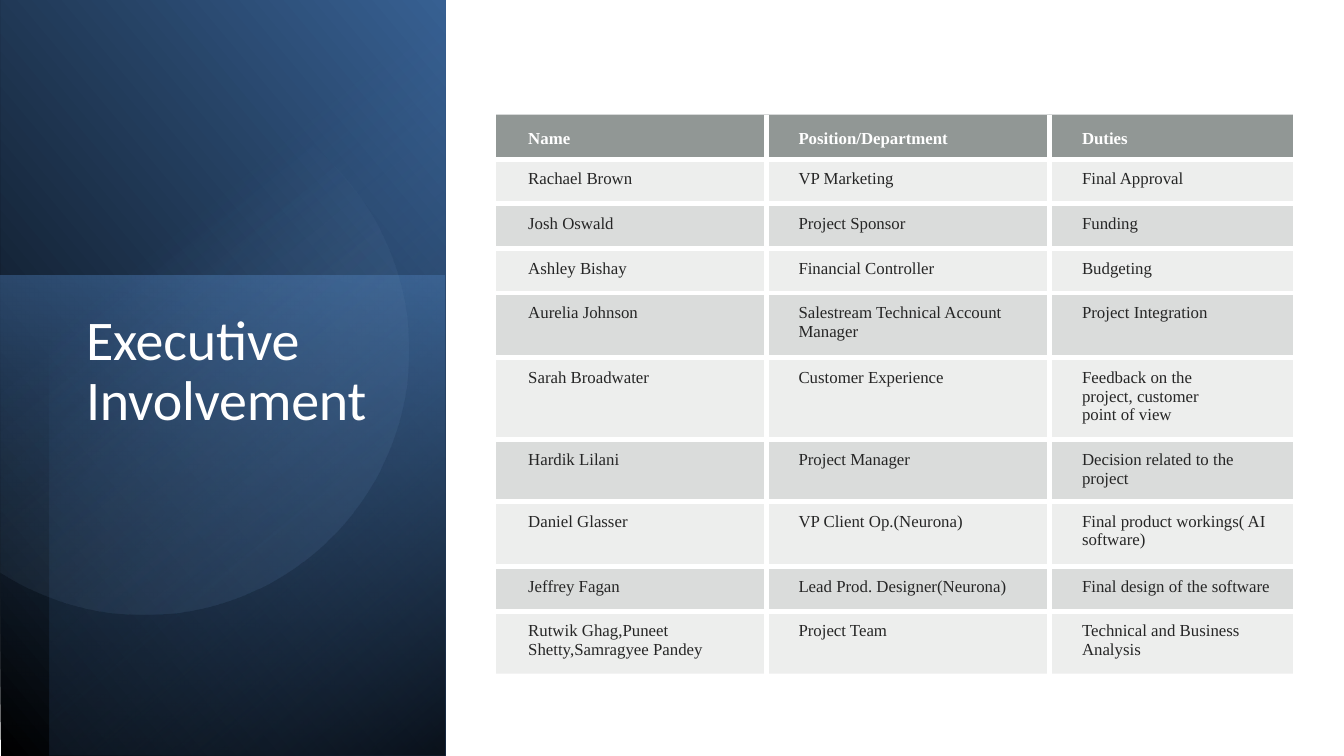
import math

import lxml.etree
import pptx
import pptx.dml.color
import pptx.enum.shapes
import pptx.enum.text
import pptx.oxml
import pptx.util

Pt = pptx.util.Pt
RGB = pptx.dml.color.RGBColor.from_string
NS = 'xmlns:a="http://schemas.openxmlformats.org/drawingml/2006/main"'

# Content
TITLE = "Executive Involvement"
ROWS = [
    ("Name", "Position/Department", "Duties"),
    ("Rachael Brown", "VP Marketing", "Final Approval"),
    ("Josh Oswald", "Project Sponsor", "Funding"),
    ("Ashley Bishay", "Financial Controller", "Budgeting"),
    ("Aurelia Johnson", "Salestream Technical Account Manager", "Project Integration"),
    ("Sarah Broadwater", "Customer Experience", "Feedback on the project, customer point of view"),
    ("Hardik Lilani", "Project Manager", "Decision related to the project"),
    ("Daniel Glasser", "VP Client Op.(Neurona)", "Final product workings( AI software)"),
    ("Jeffrey Fagan", "Lead Prod. Designer(Neurona)", "Final design of the software"),
    ("Rutwik Ghag,Puneet Shetty,Samragyee Pandey", "Project Team", "Technical and Business Analysis"),
]
COL_WIDTHS = (144.8, 151.9, 130.2)
ROW_HEIGHTS = (23.9, 23.9, 23.9, 23.9, 34.8, 41.8, 31.6, 34.8, 23.9, 33.5)
NARROW_CELLS = {(5, 2): 38, (6, 2): 12}  # wider right margin, by (row, column)

THEME = {
    "title_font": "Calibri", "title_size": 30, "title_color": "FFFFFF",
    "table_font": "Times New Roman", "table_size": 9,
    "head_text": "FFFFFF", "body_text": "262626", "rule": "FFFFFF",
    "head_fill": ("636B68", 70), "bands": (("878E8B", 30), ("878E8B", 15)),
}

# Panel layers: box, rotation, flipped, gradient angle, stops (position, colour, alpha)
LAYERS = [
    ((-83.5, 83.5, 406.1, 238.3), 90, True, 310,
     [(0, "000000", 100), (100, "376092", 100)]),
    ((-9.4, 157, 257, 238.3), 270, False, 190,
     [(0, "4F81BD", 50), (100, "254061", 0)]),
    ((-69.8, 96.5, 404.6, 211.7), 270, True, 220,
     [(0, "000000", 59), (69, "4F81BD", 0)]),
]
DISC = {"center": (97.9, 213.1), "radius": 141.8, "rotation": 101.6, "cut": 122.9,
        "angle": 310, "stops": [(39, "95B3D7", 0), (100, "376092", 26)]}


def color_xml(color, alpha):
    return f'<a:srgbClr val="{color}"><a:alpha val="{alpha * 1000}"/></a:srgbClr>'


def fill_gradient(sp, angle, stops):
    """Give a shape a linear gradient with transparency, and no line or shadow."""
    sp.shadow.inherit = False
    sp.line.fill.background()
    sp.fill.gradient()
    old = sp._element.spPr.find(pptx.oxml.ns.qn("a:gradFill"))
    gs = "".join(f'<a:gs pos="{pos * 1000}">{color_xml(color, alpha)}</a:gs>'
                 for pos, color, alpha in stops)
    new = pptx.oxml.parse_xml(
        f'<a:gradFill {NS} rotWithShape="1"><a:gsLst>{gs}</a:gsLst>'
        f'<a:lin ang="{angle * 60000}" scaled="0"/></a:gradFill>')
    old.getparent().replace(old, new)


def style_run(r, font, size, color, bold=False):
    r.font.name, r.font.size, r.font.bold = font, Pt(size), bold
    r.font.color.rgb = RGB(color)


def paint_cell(cell, fill, inner_sides):
    """Draw white rules on inner sides only, then a translucent fill."""
    tcPr = cell._tc.get_or_add_tcPr()
    for side in "LRTB":
        paint = (f'<a:solidFill>{color_xml(THEME["rule"], 100)}</a:solidFill>'
                 if side in inner_sides else "<a:noFill/>")
        tcPr.append(pptx.oxml.parse_xml(f'<a:ln{side} {NS} w="{Pt(3)}">{paint}</a:ln{side}>'))
    tcPr.append(pptx.oxml.parse_xml(f"<a:solidFill {NS}>{color_xml(*fill)}</a:solidFill>"))


prs = pptx.Presentation()
prs.slide_width, prs.slide_height = Pt(720), Pt(405)
s = prs.slides.add_slide(prs.slide_layouts[6])

# Gradient panel
for box, rotation, flipped, angle, stops in LAYERS:
    sp = s.shapes.add_shape(pptx.enum.shapes.MSO_SHAPE.RECTANGLE, *map(Pt, box))
    sp.rotation = rotation
    if flipped:
        sp._element.spPr.xfrm.set("flipH", "1")
    fill_gradient(sp, angle, stops)

# Disc cut off along the left edge of the slide
cx, cy = DISC["center"]
steps = 120
points = []
for i in range(steps + 1):
    t = math.radians(DISC["cut"] * (2 * i / steps - 1) - DISC["rotation"])
    points.append((Pt(cx + DISC["radius"] * math.cos(t)), Pt(cy + DISC["radius"] * math.sin(t))))
builder = s.shapes.build_freeform(*points[0])
builder.add_line_segments(points[1:], close=True)
sp = builder.convert_to_shape()
sp.rotation = DISC["rotation"]
fill_gradient(sp, DISC["angle"], DISC["stops"])

# Title
tf = s.shapes.add_textbox(Pt(39), Pt(163.5), Pt(170), Pt(181.5)).text_frame
tf.word_wrap = True
tf.text = TITLE
p = tf.paragraphs[0]
p.line_spacing = 0.9
style_run(p.runs[0], THEME["title_font"], THEME["title_size"], THEME["title_color"])
p.runs[0].font._element.set("spc", "-10")

# Table
last_row, last_col = len(ROWS) - 1, len(COL_WIDTHS) - 1
table = s.shapes.add_table(len(ROWS), len(COL_WIDTHS), Pt(265.8), Pt(61.4),
                           Pt(sum(COL_WIDTHS)), Pt(sum(ROW_HEIGHTS))).table
table.horz_banding = False
for column, width in zip(table.columns, COL_WIDTHS):
    column.width = Pt(width)
for i, (row, height) in enumerate(zip(ROWS, ROW_HEIGHTS)):
    table.rows[i].height = Pt(height)
    head = i == 0
    for j, text in enumerate(row):
        cell = table.cell(i, j)
        cell.text_frame.text = text
        cell.margin_left = Pt(17.2)
        cell.margin_top = cell.margin_bottom = Pt(5.7)
        cell.margin_right = Pt(NARROW_CELLS.get((i, j), 5.7))
        anchor = pptx.enum.text.MSO_ANCHOR
        cell.vertical_anchor = anchor.BOTTOM if head else anchor.TOP
        style_run(cell.text_frame.paragraphs[0].runs[0], THEME["table_font"], THEME["table_size"],
                  THEME["head_text"] if head else THEME["body_text"], head)
        inner = {"L": j > 0, "R": j < last_col, "T": i > 0, "B": i < last_row}
        paint_cell(cell, THEME["head_fill"] if head else THEME["bands"][i % 2],
                   [side for side, shown in inner.items() if shown])

prs.save("out.pptx")
